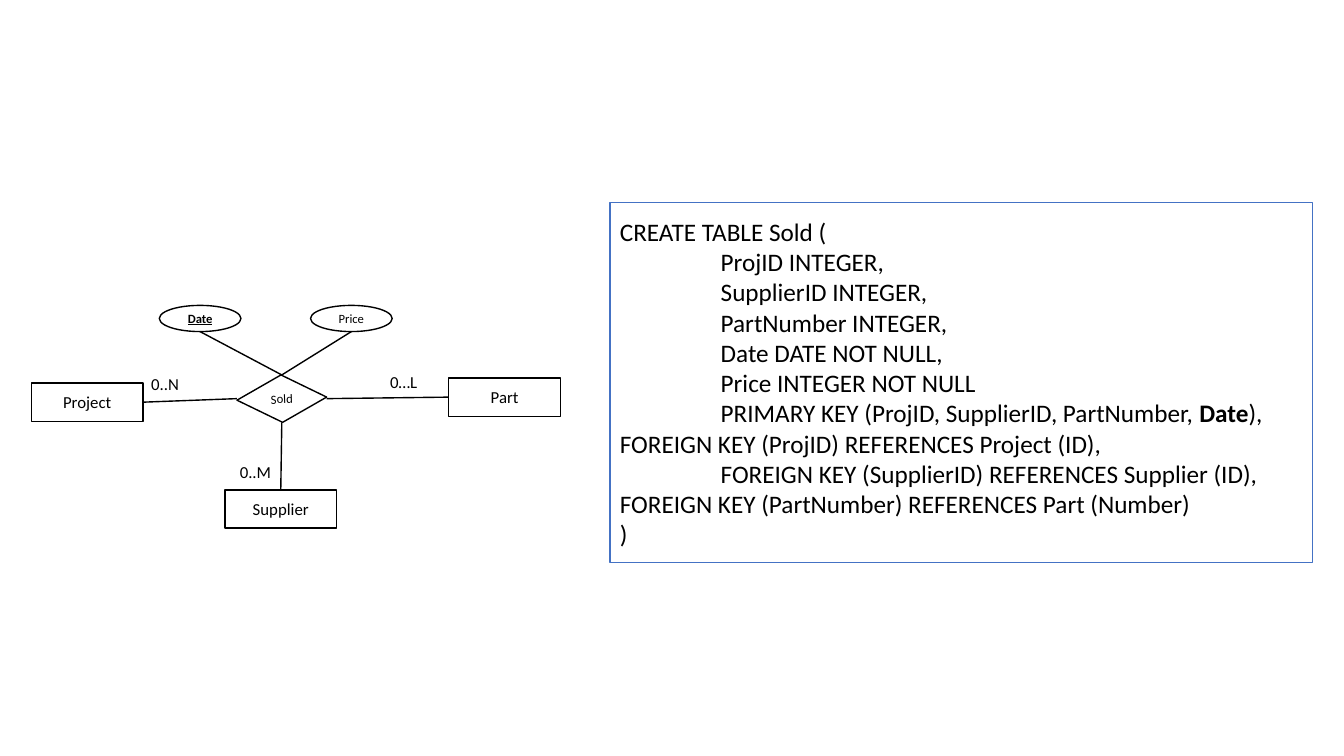
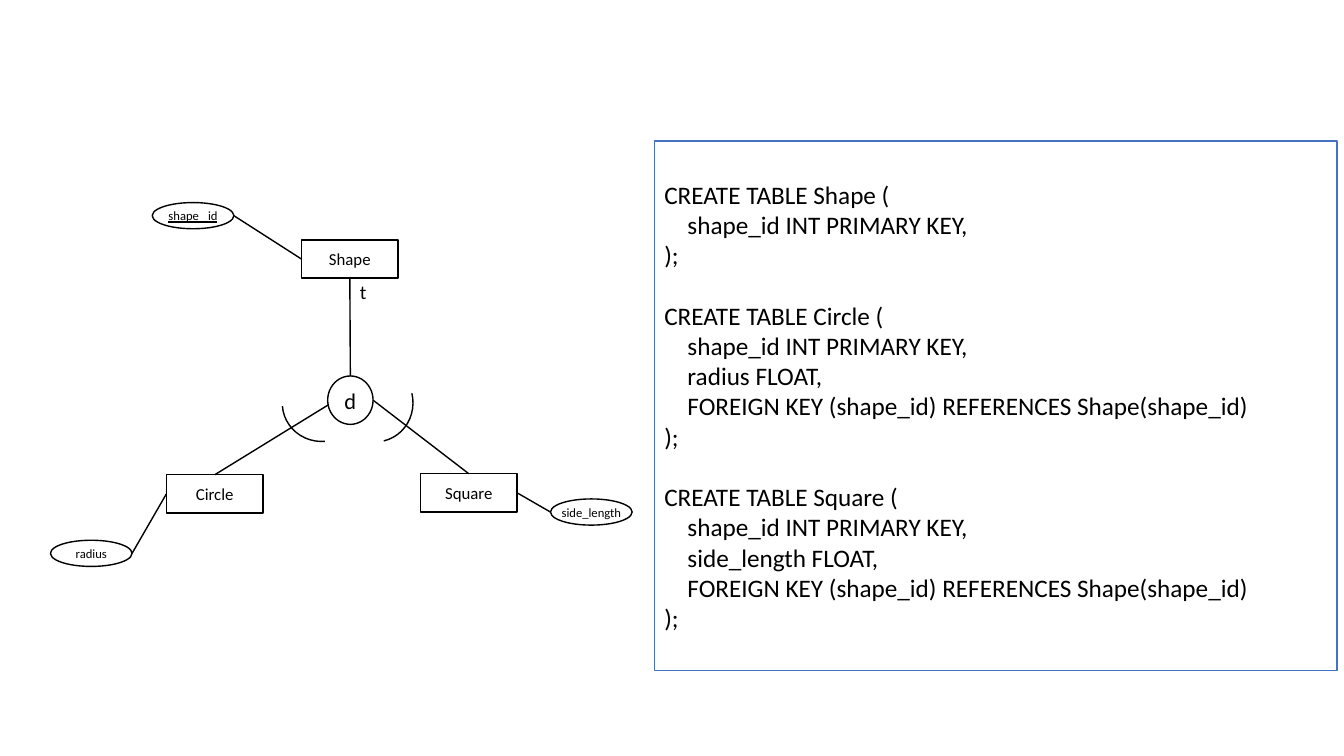
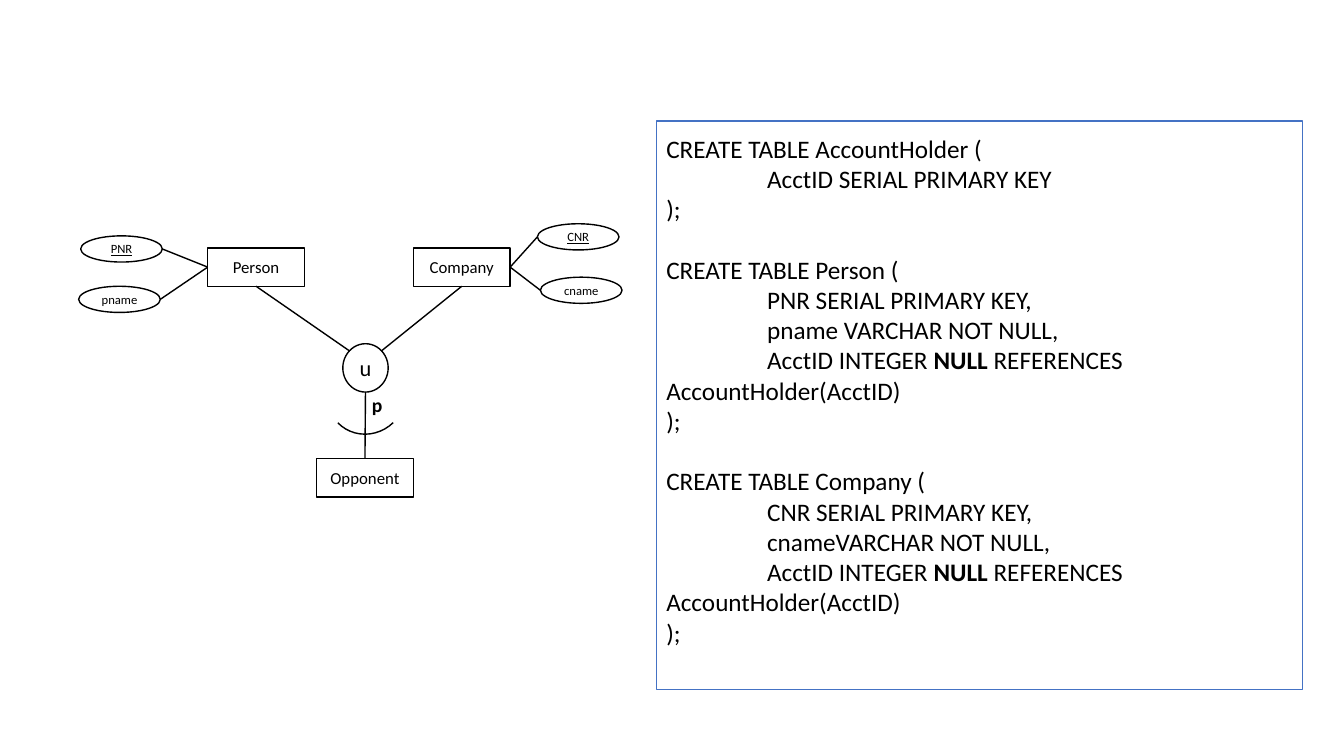
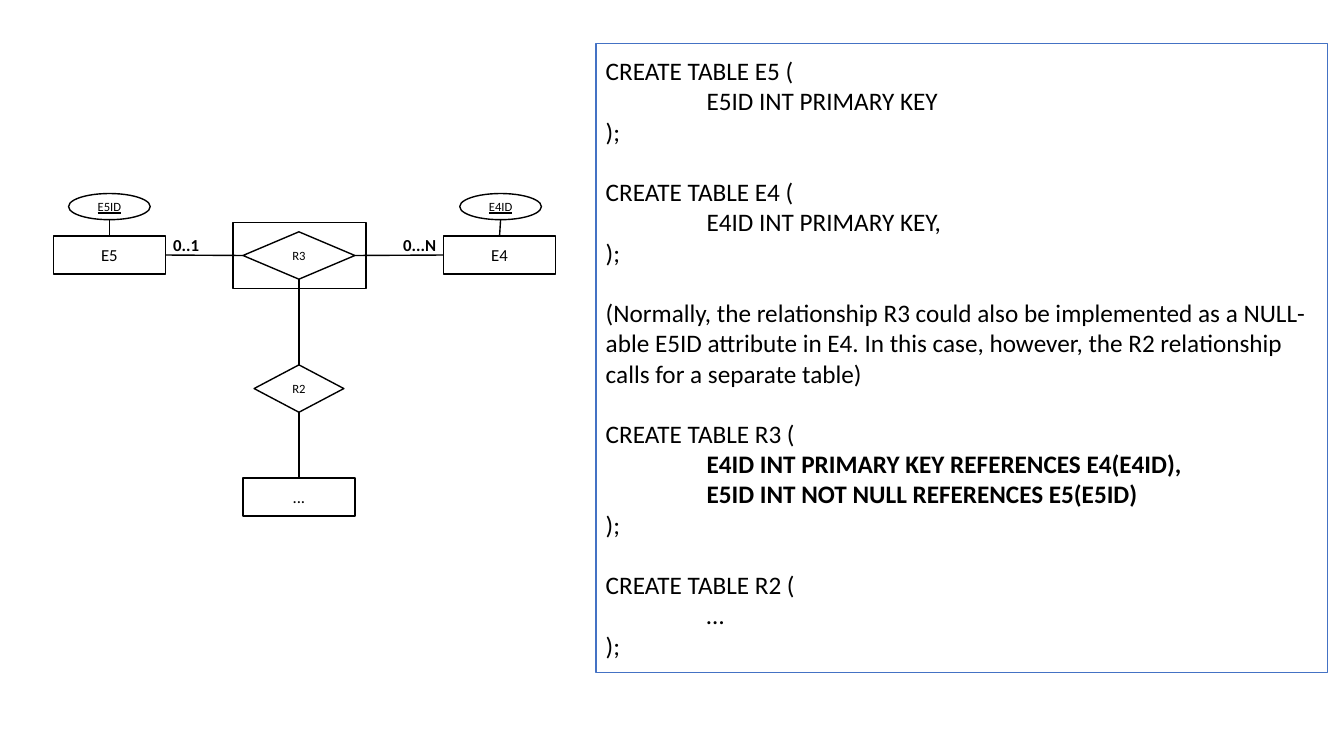
"""Build four slides that pair an ER diagram with its SQL tables."""
from lxml.etree import SubElement
from pptx import Presentation
from pptx.dml.color import RGBColor
from pptx.enum.shapes import MSO_CONNECTOR as Line, MSO_SHAPE as Form
from pptx.enum.text import MSO_AUTO_SIZE as Fit, PP_ALIGN as Align
from pptx.oxml.ns import qn
from pptx.util import Inches, Pt

INK, PAPER, BLUE = "000000", "FFFFFF", "4472C4"
FONT = "Calibri"
GAP = 21.6

KINDS = {
    "wide": (Form.RECTANGLE, 1.11, 0.38, 12),
    "box": (Form.RECTANGLE, 0.96, 0.38, 12),
    "frame": (Form.RECTANGLE, 1.32, 0.65, 12),
    "attr": (Form.OVAL, 0.81, 0.26, 9),
    "key": (Form.OVAL, 0.81, 0.26, 9),
    "ring": (Form.OVAL, 0.45, 0.48, 16),
    "rel": (Form.DIAMOND, 0.89, 0.47, 9),
    "long": (Form.DIAMOND, 1.11, 0.47, 9),
    "arc": (Form.ARC, 0.79, 0.76, 12),
}
SIDES = {
    "top": (0.5, 0), "left": (0, 0.5), "bottom": (0.5, 1), "right": (1, 0.5),
    "low": (0.01, 0.6), "nw": (0.15, 0.15), "ne": (0.85, 0.15),
}

SOLD = """CREATE TABLE Sold (
\tProjID INTEGER,
\tSupplierID INTEGER,
\tPartNumber INTEGER,
\tDate DATE NOT NULL,
\tPrice INTEGER NOT NULL
\tPRIMARY KEY (ProjID, SupplierID, PartNumber, *Date*),
FOREIGN KEY (ProjID) REFERENCES Project (ID),
\tFOREIGN KEY (SupplierID) REFERENCES Supplier (ID),
FOREIGN KEY (PartNumber) REFERENCES Part (Number)
)"""

SHAPE = """CREATE TABLE Shape (
\tshape_id INT PRIMARY KEY,
);

CREATE TABLE Circle (
\tshape_id INT PRIMARY KEY,
\tradius FLOAT,
\tFOREIGN KEY (shape_id) REFERENCES Shape(shape_id)
);

CREATE TABLE Square (
\tshape_id INT PRIMARY KEY,
\tside_length FLOAT,
\tFOREIGN KEY (shape_id) REFERENCES Shape(shape_id)
);"""

HOLDER = """CREATE TABLE AccountHolder (
\tAcctID SERIAL PRIMARY KEY
);

CREATE TABLE Person (
\tPNR SERIAL PRIMARY KEY,
\tpname VARCHAR NOT NULL,
\tAcctID INTEGER *NULL *REFERENCES AccountHolder(AcctID)
);

CREATE TABLE Company (
\tCNR SERIAL PRIMARY KEY,
\tcnameVARCHAR NOT NULL,
\tAcctID INTEGER *NULL *REFERENCES AccountHolder(AcctID)
);"""

NESTED = """CREATE TABLE E5 (
\tE5ID INT PRIMARY KEY
);

CREATE TABLE E4 (
\tE4ID INT PRIMARY KEY,
);

(Normally, the relationship R3 could also be implemented as a NULL-able E5ID \
attribute in E4. In this case, however, the R2 relationship calls for a separate table)

CREATE TABLE R3 (
\t*E4ID INT PRIMARY KEY REFERENCES E4(E4ID),*
\t*E5ID INT NOT NULL REFERENCES E5(E5ID)*
);

CREATE TABLE R2 (
\t…
);"""

PAGES = [
    {
        "nodes": [
            ("wide", "Project", 0.31, 3.8, 0), ("rel", "Sold", 2.35, 3.72, 358),
            ("key", "*Date*", 1.58, 3.03, 0), ("attr", "Price", 3.08, 3.03, 0),
            ("wide", "Part", 4.45, 3.75, 0), ("wide", "Supplier", 2.23, 4.86, 0),
        ],
        "links": [
            ("Part", "left", "Sold", "right"), ("Sold", "left", "Project", "right"),
            ("Sold", "top", "Date", "bottom"), ("Sold", "top", "Price", "bottom"),
            ("Sold", "bottom", "Supplier", "top"),
        ],
        "labels": [
            ("0..N", 1.4, 3.66, 0.49, 12), ("0…L", 3.77, 3.64, 0.48, 12),
            ("0..M", 2.28, 4.53, 0.53, 12),
        ],
        "code": (SOLD, (6.05, 2.01, 6.97, 3.57), 1, 0.05),
    },
    {
        "nodes": [
            ("box", "Circle", 1.65, 4.71, 0), ("box", "Square", 4.17, 4.7, 0),
            ("ring", "d", 3.25, 3.73, 0), ("arc", "", 2.8, 3.62, 175.7),
            ("arc", "", 3.32, 3.61, 76.6), ("attr", "side_length", 5.46, 4.95, 0),
            ("box", "Shape", 2.99, 2.38, 0), ("key", "shape _id", 1.51, 2.01, 0),
            ("attr", "radius", 0.5, 5.36, 0),
        ],
        "links": [
            ("d", "top", "Shape", "bottom"), ("Circle", "top", "d", "low"),
            ("Square", "top", "d", "right"), ("Square", "right", "side_length", "left"),
            ("Shape", "left", "shape _id", "right"), ("Circle", "left", "radius", "right"),
        ],
        "labels": [("t", 3.47, 2.73, 0.27, 14)],
        "code": (SHAPE, (6.49, 1.4, 6.77, 5.25), 0.23, 0.05),
    },
    {
        "nodes": [
            ("box", "Opponent", 3.14, 4.55, 0), ("key", "PNR", 0.8, 2.34, 0),
            ("ring", "u", 3.4, 3.41, 0), ("arc", "", 3.24, 3.54, 135.9),
            ("box", "Person", 2.06, 2.46, 0), ("box", "Company", 4.1, 2.46, 0),
            ("attr", "pname", 0.78, 2.84, 0), ("key", "CNR", 5.33, 2.22, 0),
            ("attr", "cname", 5.36, 2.75, 0),
        ],
        "links": [
            ("u", "ne", "Company", "bottom"), ("Person", "bottom", "u", "nw"),
            ("Opponent", "top", "u", "bottom"), ("Person", "left", "PNR", "right"),
            ("Person", "left", "pname", "right"), ("Company", "right", "CNR", "left"),
            ("Company", "right", "cname", "left"),
        ],
        "labels": [("*p*", 3.59, 3.85, 0.31, 14)],
        "code": (HOLDER, (6.51, 1.2, 6.41, 5.64), 1, 0.35),
    },
    {
        "nodes": [
            ("wide", "E5", 0.53, 2.34, 0), ("wide", "E4", 4.4, 2.34, 0),
            ("frame", "", 2.31, 2.21, 0), ("long", "R3", 2.41, 2.3, 0),
            ("rel", "R2", 2.52, 3.62, 0), ("wide", "...", 2.41, 4.74, 0),
            ("key", "E5ID", 0.68, 1.92, 0), ("key", "E4ID", 4.56, 1.92, 0),
        ],
        "links": [
            ("R3", "left", "E5", "right"), ("E4", "left", "R3", "right"),
            ("R2", "top", "R3", "bottom"), ("...", "top", "R2", "bottom"),
            ("E5ID", "bottom", "E5", "top"), ("E4ID", "bottom", "E4", "top"),
        ],
        "labels": [("*0..1*", 1.62, 2.28, 0.46, 12), ("*0...N*", 3.9, 2.28, 0.54, 12)],
        "code": (NESTED, (5.91, 0.43, 7.26, 6.24), 1, 0.05),
    },
]


def write(frame, text, size=12, align=Align.LEFT, under=False, wrap=False, tab=0):
    """Fill a frame: asterisks mark bold, a tab indents, an empty line adds space."""
    frame.word_wrap = wrap
    first, gap = True, False
    for row in text.split("\n"):
        if not row:
            gap = True
            continue
        para = frame.paragraphs[0] if first else frame.add_paragraph()
        para.alignment = align
        if gap:
            para.space_before = Pt(GAP)
        if row.startswith("\t"):
            props = para._p.get_or_add_pPr()
            props.set("marL", "0")
            props.set("indent", str(Inches(tab)))
        first, gap = False, False
        for i, part in enumerate(row.strip("\t").split("*")):
            if part:
                run = para.add_run()
                run.text = part
                font = run.font
                font.name, font.size = FONT, Pt(size)
                font.bold, font.underline = i % 2 == 1, under
                font.color.rgb = RGBColor.from_string(INK)


def draw(shapes, form, place, edge=INK):
    """Add a white preset shape with a thin edge."""
    shape = shapes.add_shape(form, *[Inches(n) for n in place])
    shape.shadow.inherit = False
    if form == Form.ARC:
        shape.fill.background()
    else:
        shape.fill.solid()
        shape.fill.fore_color.rgb = RGBColor.from_string(PAPER)
    shape.line.color.rgb = RGBColor.from_string(edge)
    shape.line.width = Pt(1)
    return shape


deck = Presentation()
deck.slide_width, deck.slide_height = Inches(13.33), Inches(7.5)

for page in PAGES:
    shapes = deck.slides.add_slide(deck.slide_layouts[6]).shapes
    spots = {}

    for kind, text, x, y, turn in page["nodes"]:
        form, w, h, size = KINDS[kind]
        node = draw(shapes, form, (x, y, w, h))
        node.rotation = turn
        if text:
            write(node.text_frame, text, size=size, align=Align.CENTER, under=kind == "key")
            spots[text.strip("*")] = (x, y, w, h)

    for start, out, end, into in page["links"]:
        ends = []
        for name, side in ((start, out), (end, into)):
            x, y, w, h = spots[name]
            dx, dy = SIDES[side]
            ends += [Inches(x + dx * w), Inches(y + dy * h)]
        link = shapes.add_connector(Line.STRAIGHT, *ends)
        link.line.color.rgb = RGBColor.from_string(INK)
        link.line.width = Pt(1)
        SubElement(link._element.spPr, qn("a:effectLst"))

    for text, x, y, w, size in page["labels"]:
        label = shapes.add_textbox(Inches(x), Inches(y), Inches(w), Inches(0.3))
        write(label.text_frame, text, size=size)
        label.text_frame.auto_size = Fit.SHAPE_TO_FIT_TEXT

    text, place, tab, foot = page["code"]
    panel = draw(shapes, Form.RECTANGLE, place, edge=BLUE)
    panel.text_frame.margin_bottom = Inches(foot)
    write(panel.text_frame, text, size=18, wrap=True, tab=tab)

deck.save("out.pptx")
